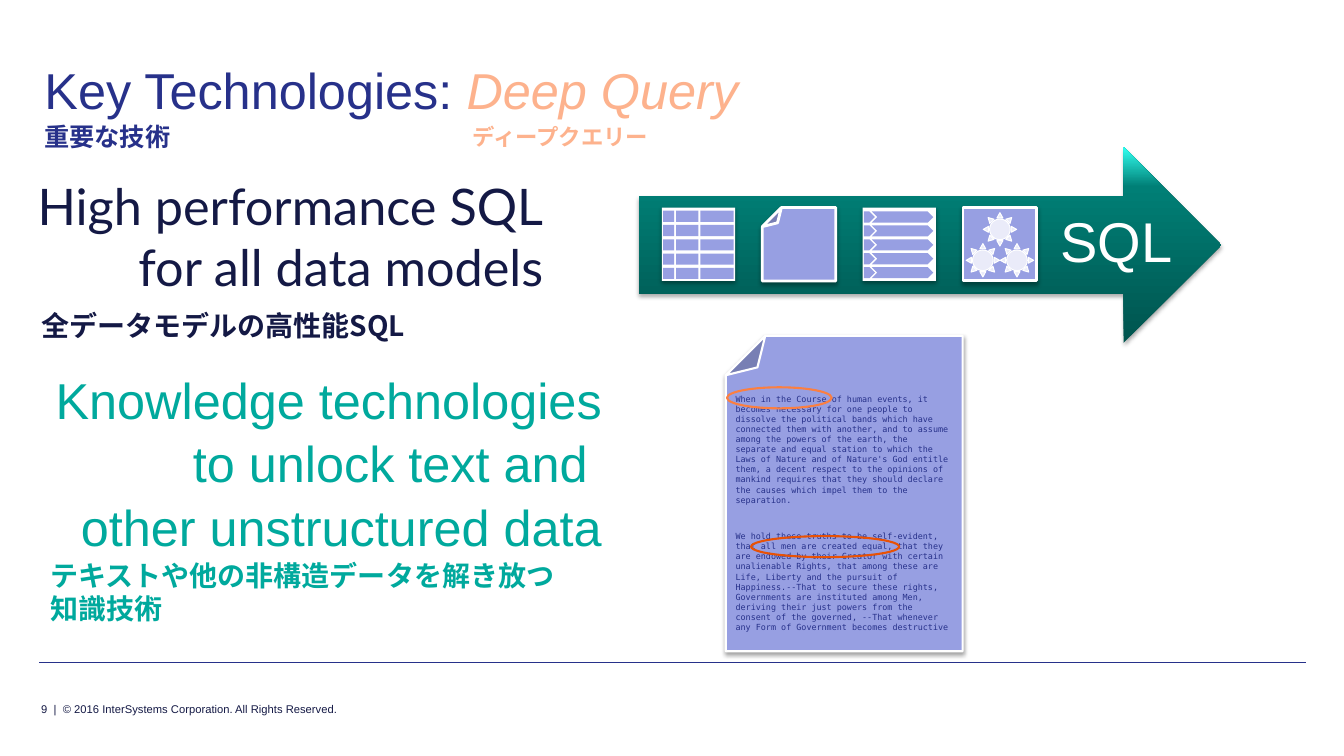
from lxml import etree
from pptx import Presentation
from pptx.dml.color import RGBColor
from pptx.enum.shapes import MSO_CONNECTOR as Link, MSO_SHAPE as Kind
from pptx.enum.text import MSO_ANCHOR as Anchor, PP_ALIGN as Align
from pptx.oxml import parse_xml
from pptx.oxml.ns import nsdecls, qn
from pptx.util import Cm, Pt

NAVY, INK, TEAL, PEACH = "27318A", "141945", "00A99D", "FDB28D"
LILAC, WHITE = "979FE2", "FFFFFF"
SANS, LATO, MONO, CJK = "Arial", "Lato", "DejaVu Sans Mono", "Noto Sans CJK JP"

COURSE = (
    "When in the Course of human events, it becomes necessary for one people "
    "to dissolve the political bands which have connected them with another, "
    "and to assume among the powers of the earth, the separate and equal "
    "station to which the Laws of Nature and of Nature's God entitle them, a "
    "decent respect to the opinions of mankind requires that they should "
    "declare the causes which impel them to the separation.")
TRUTHS = (
    "We hold these truths to be self-evident, that all men are created equal, "
    "that they are endowed by their Creator with certain unalienable Rights, "
    "that among these are Life, Liberty and the pursuit of Happiness.--That to "
    "secure these rights, Governments are instituted among Men, deriving their "
    "just powers from the consent of the governed, --That whenever any Form of "
    "Government becomes destructive")


def color(code):
    return RGBColor.from_string(code)


def style(run, size, font, tint, bold=False, italic=False):
    face = run.font
    face.size, face.name, face.bold, face.italic = Pt(size), font, bold, italic
    face.color.rgb = color(tint)
    east = etree.SubElement(run._r.get_or_add_rPr(), qn("a:ea"))
    east.set("typeface", font)


def write(shape, paras, size=36, font=SANS, tint=NAVY, bold=False, align=Align.LEFT,
          anchor=Anchor.TOP, inset=(0.05, 0.05, 0.05, 0.05), lead=None, after=0):
    """Fill a shape with paragraphs; a vertical tab breaks a line."""
    frame = shape.text_frame
    frame.word_wrap = True
    frame.vertical_anchor = anchor
    (frame.margin_left, frame.margin_top,
     frame.margin_right, frame.margin_bottom) = map(Cm, inset)
    for i, text in enumerate(paras):
        para = frame.add_paragraph() if i else frame.paragraphs[0]
        para.text = text
        para.alignment, para.line_spacing = align, lead
        para.space_before, para.space_after = Pt(0), Pt(after)
        for run in para.runs:
            style(run, size, font, tint, bold)


def label(slide, box, *paras, **look):
    write(slide.shapes.add_textbox(*map(Cm, box)), paras, **look)


def shadow(shape):
    shape._element.spPr.append(parse_xml(
        f'<a:effectLst {nsdecls("a")}><a:outerShdw blurRad="39370" dist="22860" '
        'dir="5400000" rotWithShape="0"><a:srgbClr val="000000">'
        '<a:alpha val="35000"/></a:srgbClr></a:outerShdw></a:effectLst>'))


def draw(slide, kind, box, fill=None, line=None, width=1, shade=False):
    shape = slide.shapes.add_shape(kind, *map(Cm, box))
    if fill:
        shape.fill.solid()
        shape.fill.fore_color.rgb = color(fill)
    else:
        shape.fill.background()
    if line:
        shape.line.color.rgb = color(line)
        shape.line.width = Pt(width)
    else:
        shape.line.fill.background()
    if shade:
        shadow(shape)
    else:
        shape.shadow.inherit = False
    return shape


def adjust(shape, share):
    """Set the one adjustment of a preset shape."""
    geom = shape._element.spPr.find(qn("a:prstGeom"))
    geom[:] = [parse_xml(f'<a:avLst {nsdecls("a")}><a:gd name="adj" '
                         f'fmla="val {round(share * 100000)}"/></a:avLst>')]


def page(slide, box, width):
    """Sheet of paper with its top left corner folded."""
    sheet = draw(slide, Kind.FOLDED_CORNER, box, LILAC, WHITE, width, True)
    sheet.rotation = 180
    return sheet


# Icons, each in a square with its corner at x, y
def grid(slide, x, y, side):
    draw(slide, Kind.RECTANGLE, (x, y, side, side), WHITE, shade=True)
    for row in range(5):
        for dx, wide in ((0.03, 0.28), (0.36, 0.56), (0.97, 0.84)):
            draw(slide, Kind.RECTANGLE, (x + dx, y + 0.08 + 0.36 * row, wide, 0.28), LILAC)


def paper(slide, x, y, side):
    adjust(page(slide, (x, y, side, side), 2), 0.26)


def queue(slide, x, y, side):
    draw(slide, Kind.RECTANGLE, (x, y, side, side), WHITE, shade=True)
    for row in range(5):
        top = y + 0.1 + 0.35 * row
        draw(slide, Kind.PENTAGON, (x + 0.03, top, 0.28, 0.28), LILAC)
        draw(slide, Kind.CHEVRON, (x + 0.23, top, 1.55, 0.28), LILAC)


def suns(slide, x, y, side):
    draw(slide, Kind.RECTANGLE, (x, y, side, side), LILAC, WHITE, 2, True)
    for dx, dy in ((0.51, 0.13), (0.94, 0.91), (0.08, 0.91)):
        sun = draw(slide, Kind.SUN, (x + dx, y + dy, 0.84, 0.84), WHITE, WHITE, 0.75)
        adjust(sun, 0.19)
        tone = sun._element.spPr.find(qn("a:solidFill"))[0]
        etree.SubElement(tone, qn("a:alpha")).set("val", "80000")


def arrow(slide, x, y, w, h):
    shape = draw(slide, Kind.RIGHT_ARROW, (x, y, w, h), TEAL, shade=True)
    # Dark foot to bright top
    stops = "".join(f'<a:gs pos="{pos}000"><a:srgbClr val="{tint}"/></a:gs>'
                    for pos, tint in ((0, "00544E"), (80, "007F76"), (100, "32FFF0")))
    props = shape._element.spPr
    props.replace(props.find(qn("a:solidFill")), parse_xml(
        f'<a:gradFill {nsdecls("a")} rotWithShape="1"><a:gsLst>{stops}</a:gsLst>'
        '<a:lin ang="16200000" scaled="0"/></a:gradFill>'))
    write(shape, ["SQL"], size=40, tint=WHITE, align=Align.RIGHT,
          anchor=Anchor.MIDDLE, inset=(0.25, 0.25, 0, 0.5))
    for i, icon in enumerate((grid, paper, queue, suns)):
        icon(slide, x + 0.58 + 2.53 * i, y + 1.52, 1.85)


def document(slide, x, y, w, h):
    page(slide, (x, y, w, h), 1.5)
    label(slide, (x + 0.25, y + 1.4, w - 0.53, h - 1.63), COURSE, TRUTHS, size=6,
          font=MONO, anchor=Anchor.BOTTOM, inset=(0, 0, 0, 0.25), after=19)
    # Rings around key phrases
    for dx, dy, wide, tint in ((0.64, 5.05, 3.73, "E85105"), (0.03, 1.3, 2.64, "FB7F41")):
        draw(slide, Kind.OVAL, (x + dx, y + dy, wide, 0.53), line=tint, width=1.5)


def heading(slide, x, y, w, h):
    title = slide.shapes.title
    title.left, title.top, title.width, title.height = map(Cm, (x, y, w, h))
    write(title, ["Key Technologies: "], anchor=Anchor.BOTTOM,
          inset=(0.13, 0.13, 0.13, 0), lead=0.9)
    run = title.text_frame.paragraphs[0].add_run()
    run.text = "Deep Query"
    style(run, 36, SANS, PEACH, italic=True)
    label(slide, (x + 0.08, y + h - 0.02, 5.2, 0.86), "重要な技術",
          size=18, font=CJK, bold=True)
    label(slide, (x + 10.87, y + h + 0.03, 5.2, 0.79), "ディープクエリー",
          size=16, font=CJK, tint=PEACH, bold=True)


def claims(slide, x, y):
    label(slide, (x, y, 13.54, 3.33), "High performance SQL\vfor all data models",
          font=LATO, tint=INK, align=Align.RIGHT, inset=(0.13, 0.13, 0.13, 0.13))
    label(slide, (x + 0.71, y + 3.43, 11.28, 0.97), "全データモデルの高性能SQL",
          size=20, font=CJK, tint=INK, bold=True)
    label(slide, (x + 0.94, y + 4.88, 14, 4.72),
          "Knowledge technologies\vto unlock text and \vother unstructured data",
          tint=TEAL, align=Align.RIGHT, lead=1.05)
    label(slide, (x + 0.94, y + 9.73, 13.13, 1.8),
          "テキストや他の非構造データを解き放つ知識技術",
          size=20, font=CJK, tint=TEAL, bold=True)


def footer(slide, x, y, w):
    rule = slide.shapes.add_connector(Link.STRAIGHT, Cm(x), Cm(y), Cm(x + w), Cm(y))
    rule.line.color.rgb = color(NAVY)
    rule.line.width = Pt(0.75)
    etree.SubElement(rule._element.spPr, qn("a:effectLst"))
    label(slide, (x, y + 0.97, 11.94, 0.46),
          "9  |  © 2016 InterSystems Corporation. All Rights Reserved.",
          size=8, tint=INK)


def main():
    deck = Presentation()
    deck.slide_width, deck.slide_height = Cm(33.87), Cm(19.05)
    slide = deck.slides.add_slide(deck.slide_layouts[5])
    back = slide.background.fill
    back.solid()
    back.fore_color.rgb = color(WHITE)
    footer(slide, 0.99, 16.69, 31.93)
    heading(slide, 0.99, 0.64, 31.93, 2.39)
    claims(slide, 0.28, 4.29)
    document(slide, 18.29, 8.46, 5.97, 7.95)
    arrow(slide, 16.1, 3.71, 14.68, 4.93)
    deck.save("out.pptx")


if __name__ == "__main__":
    main()
